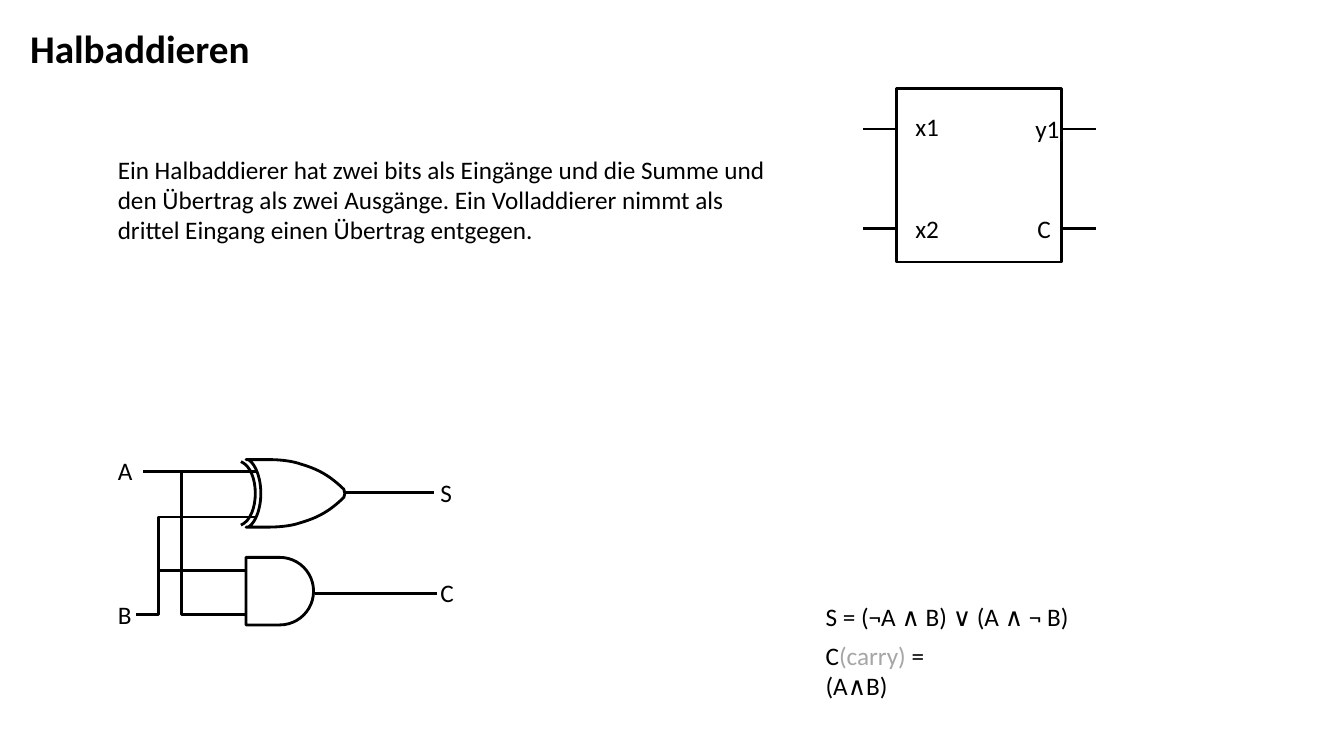
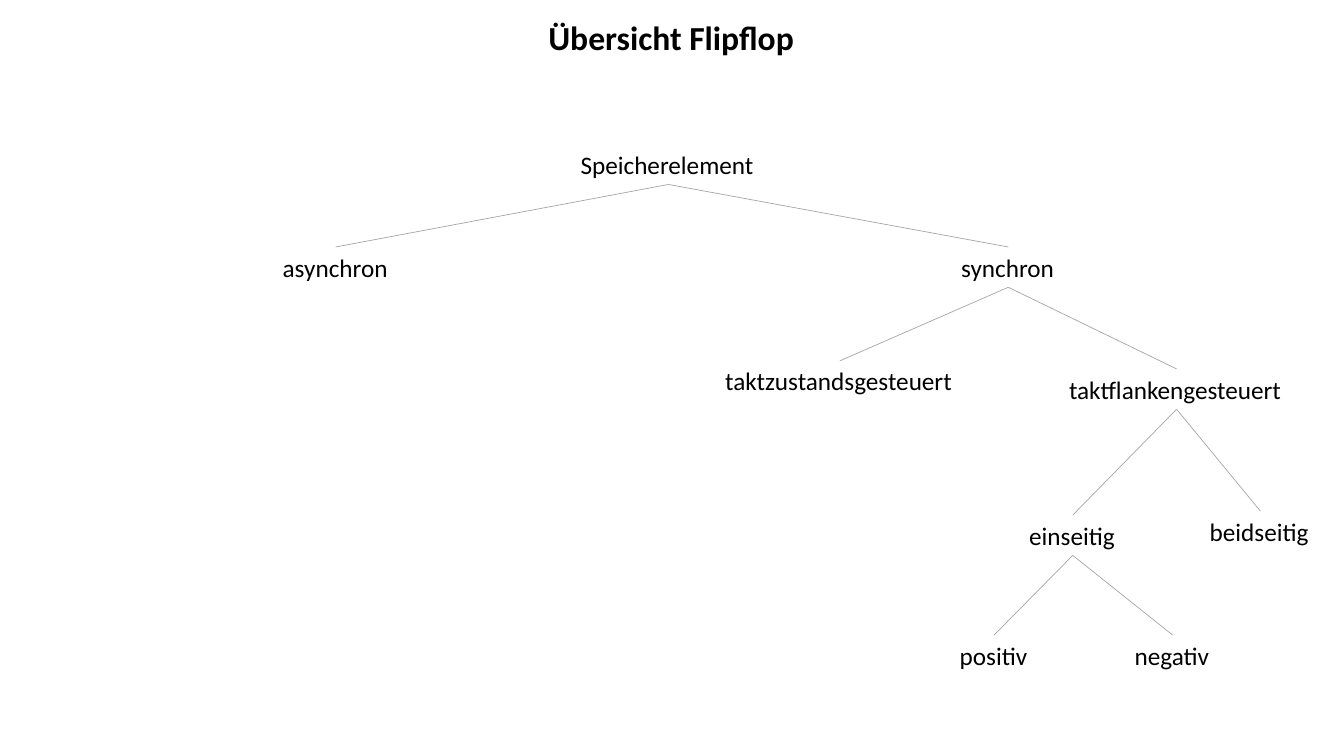
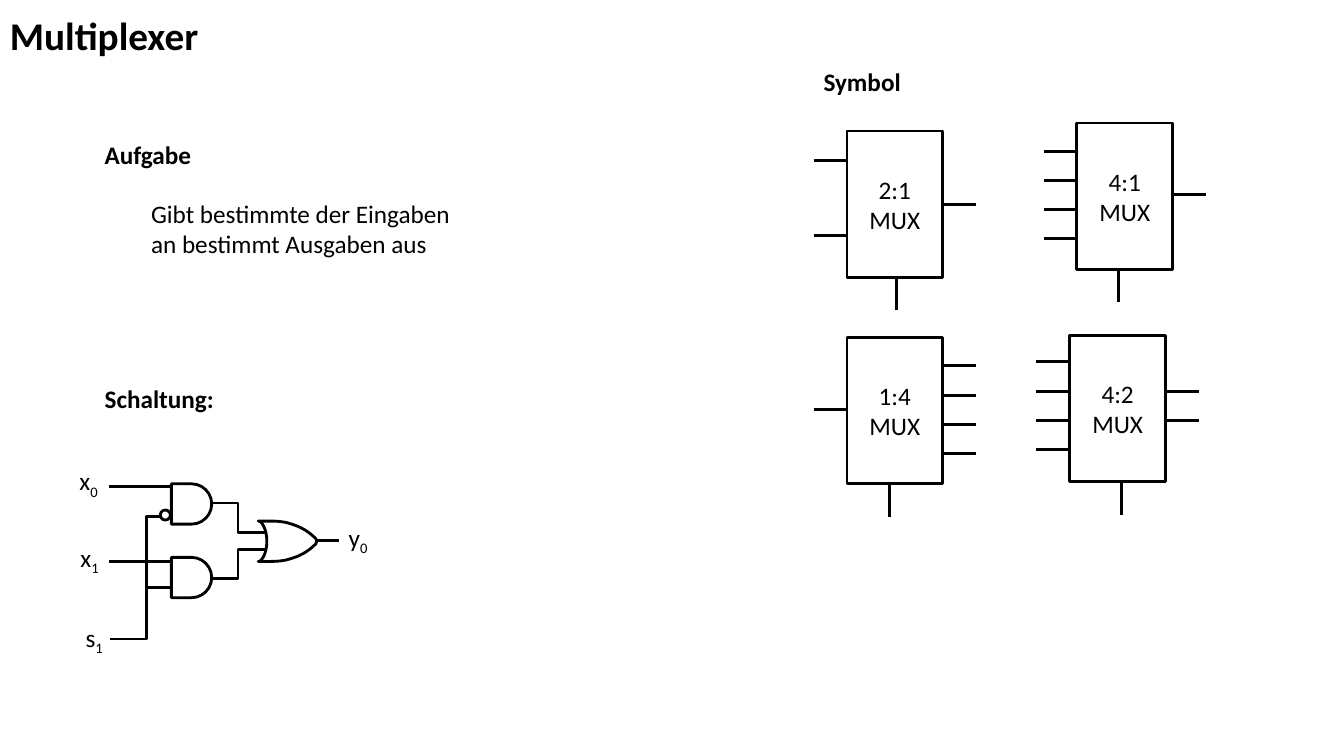
from dataclasses import dataclass

from lxml.etree import SubElement
from pptx import Presentation
from pptx.dml.color import RGBColor
from pptx.enum.shapes import MSO_CONNECTOR as Connector, MSO_SHAPE as Preset
from pptx.enum.text import MSO_ANCHOR as Anchor, MSO_AUTO_SIZE as AutoSize, PP_ALIGN as Align
from pptx.oxml.ns import qn
from pptx.shapes.autoshape import Shape
from pptx.slide import Slide
from pptx.text.text import TextFrame
from pptx.util import Inches, Pt

Point = tuple[float, float]


@dataclass(frozen=True)
class Theme:
    font: str = "Calibri"
    ink: str = "000000"
    muted: str = "A6A6A6"
    paper: str = "FFFFFF"
    title: int = 28
    tree_title: int = 24
    body: int = 18
    stroke: float = 2
    hairline: float = 0.5


THEME = Theme()


@dataclass(frozen=True)
class Span:
    text: str
    color: str = THEME.ink
    subscript: bool = False


@dataclass(frozen=True)
class Label:
    text: str | list[Span]
    left: float
    top: float
    width: float


@dataclass(frozen=True)
class Node:
    text: str
    center: float
    top: float
    width: float
    children: tuple["Node", ...] = ()


@dataclass(frozen=True)
class Mux:
    text: str
    left: float
    top: float
    inputs: tuple[float, ...]
    outputs: tuple[float, ...]
    select: float


MUX_WIDTH, MUX_HEIGHT, PIN = 0.95, 1.45, 0.33
NODE_HEIGHT = 0.4


def pins(first: float, count: int) -> tuple[float, ...]:
    return tuple(first + 0.29 * index for index in range(count))


def subscripted(letter: str, index: str) -> list[Span]:
    return [Span(letter), Span(index, subscript=True)]


def write(frame: TextFrame, text: str | list[Span], *, size: int = THEME.body,
          bold: bool = False, align: Align = Align.LEFT) -> None:
    para = frame.paragraphs[0]
    para.alignment = align
    for part in [Span(text)] if isinstance(text, str) else text:
        for number, line in enumerate(part.text.split("\n")):
            if number:
                para.add_line_break()
            span = para.add_run()
            span.text = line
            span.font.name = THEME.font
            span.font.size = Pt(size)
            span.font.bold = bold
            span.font.color.rgb = RGBColor.from_string(part.color)
            if part.subscript:
                span._r.get_or_add_rPr().set("baseline", "-25000")


def add_label(page: Slide, label: Label, *, size: int = THEME.body, bold: bool = False,
              height: float = 0.4, wrap: bool = False) -> None:
    box = page.shapes.add_textbox(Inches(label.left), Inches(label.top),
                                  Inches(label.width), Inches(height))
    box.text_frame.word_wrap = wrap
    box.text_frame.auto_size = AutoSize.SHAPE_TO_FIT_TEXT
    write(box.text_frame, label.text, size=size, bold=bold)


def add_title(page: Slide, label: Label, *, size: int = THEME.title) -> None:
    add_label(page, label, size=size, bold=True, height=0.57)


def outline(shape: Shape, *, filled: bool = True) -> Shape:
    shape.shadow.inherit = False
    if filled:
        shape.fill.solid()
        shape.fill.fore_color.rgb = RGBColor.from_string(THEME.paper)
    else:
        shape.fill.background()
    shape.line.color.rgb = RGBColor.from_string(THEME.ink)
    shape.line.width = Pt(THEME.stroke)
    return shape


def add_preset(page: Slide, preset: Preset, left: float, top: float,
               width: float, height: float) -> Shape:
    return outline(page.shapes.add_shape(preset, Inches(left), Inches(top),
                                         Inches(width), Inches(height)))


def add_line(page: Slide, start: Point, end: Point, *, color: str = THEME.ink,
             weight: float = THEME.stroke) -> None:
    line = page.shapes.add_connector(Connector.STRAIGHT, Inches(start[0]), Inches(start[1]),
                                     Inches(end[0]), Inches(end[1]))
    line.line.color.rgb = RGBColor.from_string(color)
    line.line.width = Pt(weight)
    SubElement(line._element.spPr, qn("a:effectLst"))


def add_path(page: Slide, points: list[Point], *, closed: bool = False) -> None:
    corners = [(Inches(x), Inches(y)) for x, y in points]
    builder = page.shapes.build_freeform(*corners[0])
    builder.add_line_segments(corners[1:], close=closed)
    outline(builder.convert_to_shape(), filled=closed)


def add_wire(page: Slide, *points: Point) -> None:
    if len(points) == 2:
        add_line(page, *points)
    else:
        add_path(page, list(points))


def curve(a: Point, b: Point, c: Point, d: Point, steps: int = 16) -> list[Point]:
    def blend(axis: int, t: float) -> float:
        u = 1 - t
        return (u**3 * a[axis] + 3 * u * u * t * b[axis]
                + 3 * u * t * t * c[axis] + t**3 * d[axis])

    return [(blend(0, i / steps), blend(1, i / steps)) for i in range(steps + 1)]


def add_or_gate(page: Slide, left: float, top: float, width: float, height: float) -> None:
    upper = [(0, 0)]
    upper += curve((0.22, 0), (0.34, 0), (0.46, 0.02), (0.54, 0.06))
    upper += curve((0.54, 0.06), (0.73, 0.14), (0.85, 0.24), (0.99, 0.44))
    lower = [(x, 1 - y) for x, y in reversed(upper)]
    back = curve((0.02, 1), (0.09, 0.95), (0.15, 0.74), (0.15, 0.5))
    back += [(x, 1 - y) for x, y in reversed(back)]
    add_path(page, [(left + x * width, top + y * height)
                    for x, y in upper + [(1, 0.5)] + lower + back], closed=True)


def add_mux(page: Slide, mux: Mux) -> None:
    right, bottom = mux.left + MUX_WIDTH, mux.top + MUX_HEIGHT
    box = add_preset(page, Preset.RECTANGLE, mux.left, mux.top, MUX_WIDTH, MUX_HEIGHT)
    box.text_frame.vertical_anchor = Anchor.MIDDLE
    write(box.text_frame, mux.text, align=Align.CENTER)
    for edge, offsets in ((mux.left - PIN, mux.inputs), (right, mux.outputs)):
        for offset in offsets:
            add_wire(page, (edge, mux.top + offset), (edge + PIN, mux.top + offset))
    select = mux.left + mux.select
    add_wire(page, (select, bottom), (select, bottom + PIN))


def add_tree(page: Slide, node: Node) -> None:
    add_label(page, Label(node.text, node.center - node.width / 2, node.top, node.width))
    for child in node.children:
        add_line(page, (node.center, node.top + NODE_HEIGHT), (child.center, child.top),
                 color=THEME.muted, weight=THEME.hairline)
        add_tree(page, child)


def half_adder_slide(page: Slide) -> None:
    add_title(page, Label("Halbaddieren", 0.2, 0.19, 2.4))
    add_label(page, Label(
        "Ein Halbaddierer hat zwei bits als Eingänge und die Summe und den Übertrag als "
        "zwei Ausgänge. Ein Volladdierer nimmt als drittel Eingang einen Übertrag entgegen.",
        1.07, 1.48, 6.67), height=1.01, wrap=True)
    add_label(page, Label("S = (¬A ∧ B) ∨ (A ∧ ¬ B)", 8.09, 5.92, 2.66))
    carry = [Span("C"), Span("(carry) ", THEME.muted), Span("= (A∧B)")]
    add_label(page, Label(carry, 8.09, 6.3, 1.8), wrap=True)

    add_or_gate(page, 2.44, 4.56, 0.98, 0.67)
    add_path(page, curve((2.39, 4.58), (2.58, 4.66), (2.58, 5.13), (2.39, 5.21)))
    add_preset(page, Preset.FLOWCHART_DELAY, 2.44, 5.53, 0.67, 0.67)
    for points in (
        [(1.42, 4.68), (2.54, 4.68)],
        [(1.8, 4.68), (1.8, 6.1), (2.45, 6.1)],
        [(1.57, 5.66), (2.43, 5.66)],
        [(1.35, 6.1), (1.57, 6.1), (1.57, 5.13), (2.53, 5.13)],
        [(3.12, 5.89), (4.33, 5.89)],
        [(3.42, 4.89), (4.3, 4.89)],
    ):
        add_wire(page, *points)

    for y in (1.28, 2.27):
        for x in (8.56, 10.54):
            add_wire(page, (x, y), (x + PIN, y))
    add_preset(page, Preset.RECTANGLE, 8.89, 0.88, 1.64, 1.72)
    for label in (
        Label("A", 1.07, 4.47, 0.35), Label("B", 1.07, 5.9, 0.34),
        Label("S", 4.27, 4.69, 0.32), Label("C", 4.27, 5.68, 0.34),
        Label("x1", 8.98, 1.06, 0.44), Label("x2", 8.98, 2.07, 0.44),
        Label("y1", 10.17, 1.08, 0.44), Label("C", 10.19, 2.07, 0.34),
    ):
        add_label(page, label)


def flipflop_slide(page: Slide) -> None:
    add_title(page, Label("Übersicht Flipflop", 5.34, 0.12, 2.66), size=THEME.tree_title)
    one_sided = Node("einseitig", 10.64, 5.11, 1.06, (
        Node("positiv", 9.86, 6.3, 0.88),
        Node("negativ", 11.63, 6.3, 0.95),
    ))
    edge_driven = Node("taktflankengesteuert", 11.67, 3.66, 2.33, (
        one_sided,
        Node("beidseitig", 12.5, 5.07, 1.2),
    ))
    synchronous = Node("synchron", 10, 2.45, 1.13, (
        Node("taktzustandsgesteuert", 8.33, 3.58, 2.47),
        edge_driven,
    ))
    add_tree(page, Node("Speicherelement", 6.63, 1.43, 1.94, (
        Node("asynchron", 3.33, 2.45, 1.25),
        synchronous,
    )))


def multiplexer_slide(page: Slide) -> None:
    add_title(page, Label("Multiplexer", 0, 0.06, 2.09))
    for heading in (
        Label("Aufgabe", 0.94, 1.33, 1.07),
        Label("Symbol", 8.07, 0.61, 0.97),
        Label("Schaltung:", 0.94, 3.75, 1.29),
    ):
        add_label(page, heading, bold=True)
    add_label(page, Label("Gibt bestimmte der Eingaben an bestimmt Ausgaben aus",
                          1.4, 1.92, 3.44), height=0.71, wrap=True)

    for mux in (
        Mux("2:1\nMUX", 8.4, 1.3, (0.29, 1.04), (0.73,), 0.49),
        Mux("4:1\nMUX", 10.68, 1.22, pins(0.28, 4), (0.71,), 0.41),
        Mux("4:2\nMUX", 10.61, 3.33, pins(0.26, 4), pins(0.55, 2), 0.51),
        Mux("1:4\nMUX", 8.4, 3.35, (0.71,), pins(0.28, 4), 0.42),
    ):
        add_mux(page, mux)

    for top in (4.8, 5.53):
        add_preset(page, Preset.FLOWCHART_DELAY, 1.7, top, 0.4, 0.4)
    add_or_gate(page, 2.56, 5.17, 0.58, 0.4)
    for points in (
        [(1.08, 4.83), (1.7, 4.83)],
        [(1.08, 5.57), (1.7, 5.57)],
        [(1.09, 6.34), (1.45, 6.34), (1.45, 5.12), (1.7, 5.12)],
        [(1.45, 5.83), (1.7, 5.83)],
        [(2.09, 5.74), (2.36, 5.74), (2.36, 5.45), (2.63, 5.45)],
        [(2.09, 4.99), (2.36, 4.99), (2.36, 5.28), (2.63, 5.28)],
        [(3.14, 5.36), (3.36, 5.36)],
    ):
        add_wire(page, *points)
    add_preset(page, Preset.OVAL, 1.59, 5.06, 0.1, 0.1)
    for label in (
        Label(subscripted("x", "0"), 0.69, 4.57, 0.4),
        Label(subscripted("x", "1"), 0.7, 5.33, 0.4),
        Label(subscripted("s", "1"), 0.75, 6.12, 0.4),
        Label(subscripted("y", "0"), 3.36, 5.13, 0.4),
    ):
        add_label(page, label)


def main() -> None:
    deck = Presentation()
    deck.slide_width = Inches(13.33)
    deck.slide_height = Inches(7.5)
    for draw in (half_adder_slide, flipflop_slide, multiplexer_slide):
        draw(deck.slides.add_slide(deck.slide_layouts[6]))
    deck.save("out.pptx")


if __name__ == "__main__":
    main()
